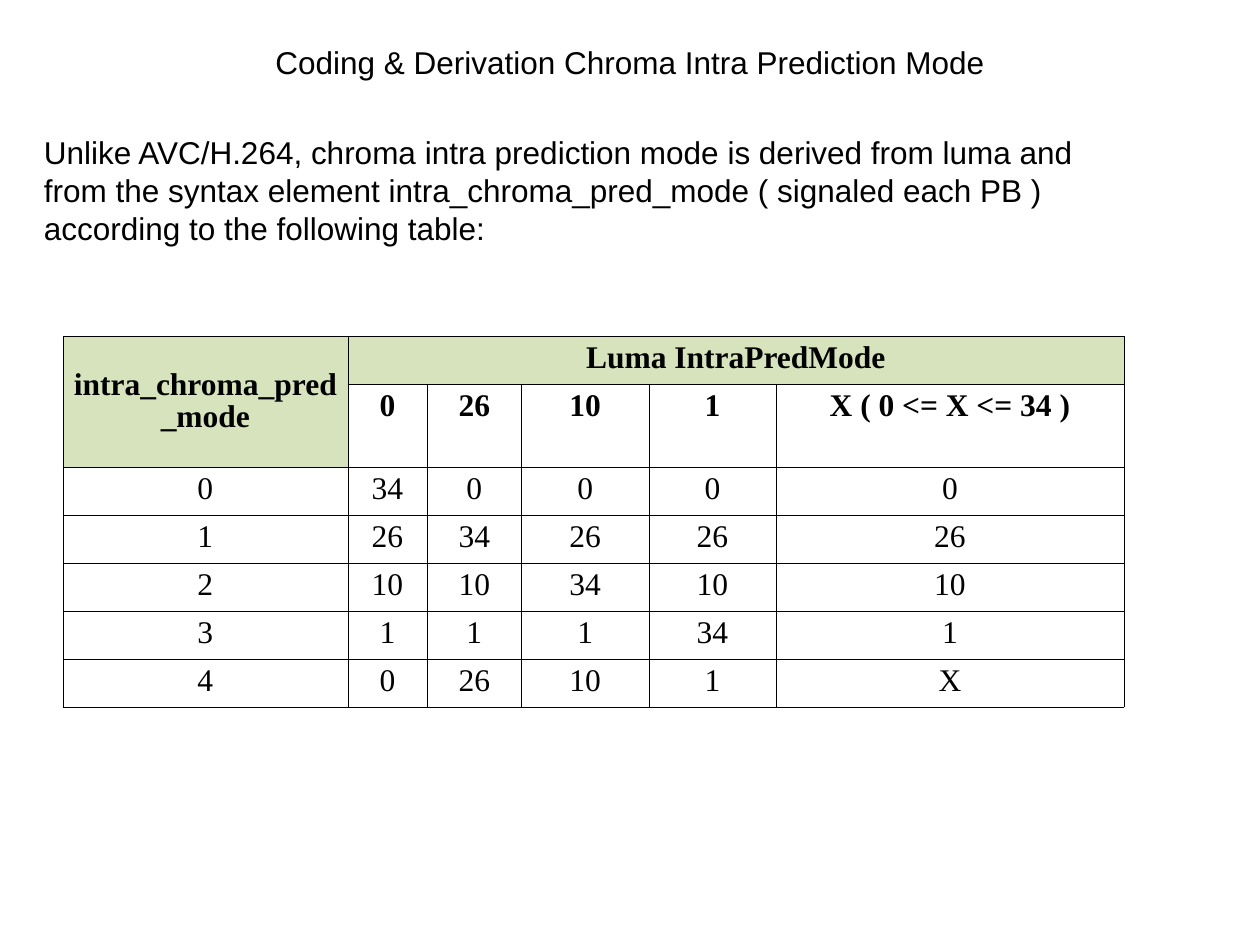
import pptx
import pptx.dml.color
import pptx.enum.text
import pptx.oxml
import pptx.oxml.ns
import pptx.util
from pptx.util import Inches

# Content
TITLE = "Coding & Derivation Chroma Intra Prediction Mode"
INTRO = (
    "Unlike AVC/H.264, chroma intra prediction mode is derived from luma and "
    "from the syntax element intra_chroma_pred_mode ( signaled each PB ) "
    "according to the following table:"
)
HEADER_ROWS = [
    ["intra_chroma_pred_mode", "Luma IntraPredMode", "", "", "", ""],
    ["", "0", "26", "10", "1", "X ( 0 <= X <= 34 )"],
]
MODE_ROWS = [
    ["0", "34", "0", "0", "0", "0"],
    ["1", "26", "34", "26", "26", "26"],
    ["2", "10", "10", "34", "10", "10"],
    ["3", "1", "1", "1", "34", "1"],
    ["4", "0", "26", "10", "1", "X"],
]

# Theme and measures
THEME = {
    "text": "000000",
    "header": "D6E3BC",
    "border": "000000",
    "border_width": 0.23,
    "font": "Arial",
    "table_font": "Times New Roman",
    "size": 18,
}
COLUMN_WIDTHS = [2.26, 0.63, 0.75, 1.01, 1.01, 2.76]
ROW_HEIGHT, LUMA_ROW_HEIGHT = 0.38, 0.66
ALIGN = pptx.enum.text.PP_ALIGN
ANCHOR = pptx.enum.text.MSO_ANCHOR


def colour(name):
    return pptx.dml.color.RGBColor.from_string(THEME[name])


def add_span(para, text, font="font", bold=False):
    span = para.add_run()
    span.text = text
    span.font.name = THEME[font]
    span.font.size = pptx.util.Pt(THEME["size"])
    span.font.bold = bold
    span.font.color.rgb = colour("text")


def add_borders(cell):
    properties = cell._tc.get_or_add_tcPr()
    width = pptx.util.Pt(THEME["border_width"])
    for position, side in enumerate(("lnL", "lnR", "lnT", "lnB")):
        line = pptx.oxml.parse_xml(
            f'<a:{side} {pptx.oxml.ns.nsdecls("a")} w="{width}"><a:solidFill>'
            f'<a:srgbClr val="{THEME["border"]}"/></a:solidFill></a:{side}>'
        )
        properties.insert(position, line)


def format_cell(cell, text, is_header, is_shaded):
    cell.margin_left = cell.margin_right = Inches(0.08)
    cell.margin_top = cell.margin_bottom = Inches(0.05)
    if is_shaded:
        cell.fill.solid()
        cell.fill.fore_color.rgb = colour("header")
    else:
        cell.fill.background()
    add_borders(cell)
    para = cell.text_frame.paragraphs[0]
    para.alignment = ALIGN.CENTER
    para.line_spacing = 0.93
    para.space_after = pptx.util.Pt(3)
    if text:
        add_span(para, text, "table_font", is_header)


def add_mode_table(page):
    rows = HEADER_ROWS + MODE_ROWS
    heights = [ROW_HEIGHT, LUMA_ROW_HEIGHT] + [ROW_HEIGHT] * len(MODE_ROWS)
    table = page.shapes.add_table(
        len(rows), len(COLUMN_WIDTHS), Inches(0.5), Inches(2.67),
        Inches(sum(COLUMN_WIDTHS)), Inches(sum(heights)),
    ).table
    table.first_row = table.horz_banding = False
    for column, width in zip(table.columns, COLUMN_WIDTHS):
        column.width = Inches(width)
    for row, height in zip(table.rows, heights):
        row.height = Inches(height)

    # Merged headers: one down the first column, one across the luma modes
    table.cell(0, 0).merge(table.cell(1, 0))
    table.cell(0, 1).merge(table.cell(0, len(COLUMN_WIDTHS) - 1))
    for r, values in enumerate(rows):
        is_header = r < len(HEADER_ROWS)
        for c, text in enumerate(values):
            is_shaded = r == 0 or (is_header and c == 0)
            format_cell(table.cell(r, c), text, is_header, is_shaded)
    table.cell(0, 0).vertical_anchor = ANCHOR.MIDDLE


def main():
    deck = pptx.Presentation()
    deck.slide_width, deck.slide_height = Inches(10), Inches(7.5)
    page = deck.slides.add_slide(deck.slide_layouts[5])

    # Title
    title = page.shapes.title
    title.left, title.top = Inches(0.5), Inches(0.08)
    title.width, title.height = Inches(9), Inches(0.83)
    title.text_frame.vertical_anchor = ANCHOR.MIDDLE
    title.text_frame.paragraphs[0].alignment = ALIGN.CENTER
    add_span(title.text_frame.paragraphs[0], TITLE)

    # Introduction
    box = page.shapes.add_textbox(Inches(0.25), Inches(1.01), Inches(8.75), Inches(1.6))
    box.text_frame.word_wrap = True
    box.text_frame.vertical_anchor = ANCHOR.TOP
    add_span(box.text_frame.paragraphs[0], INTRO)

    add_mode_table(page)
    deck.save("out.pptx")


if __name__ == "__main__":
    main()
